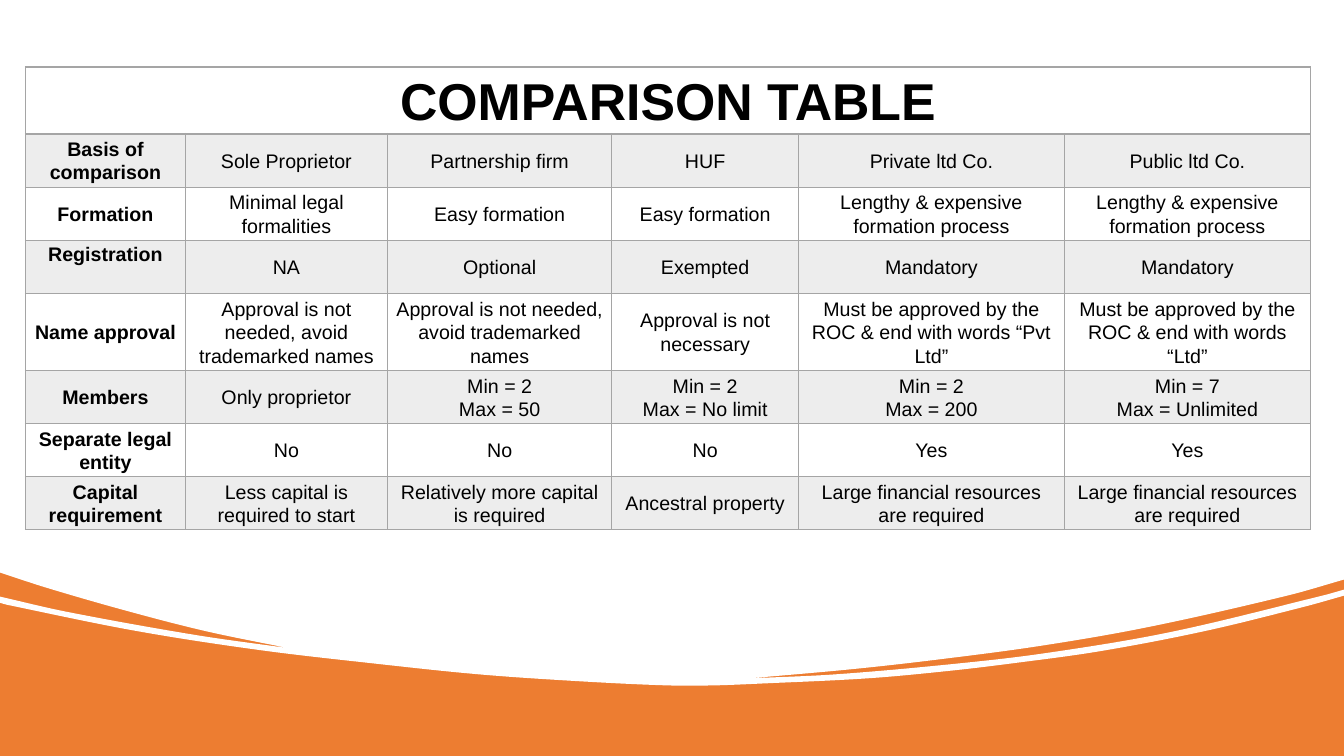
from dataclasses import dataclass
from itertools import product

from lxml.etree import SubElement as Sub
from pptx import Presentation
from pptx.dml.color import RGBColor as Rgb
from pptx.enum.shapes import MSO_SHAPE as Kind
from pptx.enum.text import MSO_ANCHOR as Anchor, PP_ALIGN as Align
from pptx.oxml.ns import qn
from pptx.util import Pt


@dataclass(frozen=True)
class Theme:
    wave: str = "ED7D31"
    paper: str = "FFFFFF"
    ink: str = "000000"
    grid: str = "A5A5A5"
    tint: int = 20  # opacity of shaded rows, percent
    font: str = "Arial"
    title: float = 37
    body: float = 14
    lead: float = 1.07  # line spacing


THEME = Theme()
WIDE, HIGH = 960, 540

# Table content; "\n" starts a new paragraph
TITLE = "COMPARISON TABLE"
ROWS = [
    ["Basis of comparison", "Sole Proprietor", "Partnership firm", "HUF",
     "Private ltd Co.", "Public ltd Co."],
    ["Formation", "Minimal legal formalities", "Easy formation", "Easy formation",
     "Lengthy & expensive formation process", "Lengthy & expensive formation process"],
    ["Registration", "NA", "Optional", "Exempted", "Mandatory", "Mandatory"],
    ["Name approval", "Approval is not needed, avoid trademarked names",
     "Approval is not needed, avoid trademarked names", "Approval is not necessary",
     "Must be approved by the ROC & end with words “Pvt Ltd”",
     "Must be approved by the ROC & end with words “Ltd”"],
    ["Members", "Only proprietor", "Min = 2\nMax = 50", "Min = 2\nMax = No limit",
     "Min = 2\nMax = 200", "Min = 7\nMax = Unlimited"],
    ["Separate legal entity", "No", "No", "No", "Yes", "Yes"],
    ["Capital requirement", "Less capital is required to start",
     "Relatively more capital is required", "Ancestral property",
     "Large financial resources are required", "Large financial resources are required"],
]
COLS = [114.3, 144.3, 160.3, 133.3, 190, 175.7]
TALLS = [48, 37.9, 37.9, 37.9, 55.3, 37.9, 37.9, 37.9]

# Arcs that bound the white area, in order round its edge
ARCS = [
    # right crest, top and bottom edge
    [(960, 414), (919.4, 425.5), (820.8, 447.8), (742.3, 461.5), (666, 471.6),
     (607.7, 478.1), (535, 484.6)],
    [(535, 484.6), (596.9, 481.7), (679, 474.5), (746.6, 466.6), (836.6, 451.4),
     (944.6, 425.5), (960, 421.2)],
    # long wave, right to left
    [(960, 425.5), (931.7, 433.4), (861.1, 450.7), (786.2, 465.1), (723.6, 473.8),
     (675.4, 479.5), (619.2, 484.6), (545.8, 488.2), (509.8, 489.6), (476.6, 489.6),
     (414.7, 486.7), (342, 481.7), (265.7, 473.8), (185.8, 464.4), (97.2, 450.7),
     (5, 432), (0, 430.6)],
    # left crest, bottom and top edge
    [(0, 426.2), (47.5, 437), (139.7, 453.6), (205.9, 463)],
    [(205.9, 463), (145.4, 450.5), (87.8, 435.6), (33.1, 419.8), (0, 409)],
]


def handles(knots):
    """Bezier handles for each step between knots, short near close knots."""
    ends = [knots[0], *knots, knots[-1]]
    for a, b, c, d in zip(ends, ends[1:], ends[2:], ends[3:]):
        span = (c[0] - b[0]) / 3
        rise = (c[1] - a[1]) / (c[0] - a[0])
        fall = (d[1] - b[1]) / (d[0] - b[0])
        yield (b[0] + span, b[1] + span * rise), (c[0] - span, c[1] - span * fall)


def bend(line, pair):
    """Turn a straight step of an outline into a cubic one."""
    line.tag = qn("a:cubicBezTo")
    for n, (x, y) in enumerate(pair):
        dot = Sub(line, qn("a:pt"), x=str(Pt(x)), y=str(Pt(y)))
        line.insert(n, dot)


def paint(shape, color):
    shape.shadow.inherit = False
    shape.fill.solid()
    shape.fill.fore_color.rgb = Rgb.from_string(color)
    shape.line.fill.background()


def add_waves(slide):
    base = slide.shapes.add_shape(Kind.RECTANGLE, 0, 0, Pt(WIDE), Pt(HIGH))
    paint(base, THEME.wave)
    edge = [(WIDE, 0)] + [dot for arc in ARCS for dot in arc]
    pen = slide.shapes.build_freeform(0, 0)
    pen.add_line_segments([(Pt(x), Pt(y)) for x, y in edge], close=True)
    sheet = pen.convert_to_shape()
    paint(sheet, THEME.paper)

    # The step to each arc's first knot stays straight
    steps = iter(list(sheet._element.iter(qn("a:lnTo")))[1:])
    for arc in ARCS:
        next(steps)
        for pair in handles(arc):
            bend(next(steps), pair)


def add_edges(cell, head):
    props = cell._tc.get_or_add_tcPr()
    for side in "LRTB":
        thick = 2 if head and side == "B" else 1
        line = Sub(props, qn(f"a:ln{side}"), w=str(Pt(thick)))
        fill = Sub(line, qn("a:solidFill"))
        Sub(fill, qn("a:srgbClr"), val=THEME.grid)


def shade(cell, on):
    if not on:
        cell.fill.background()
        return
    cell.fill.solid()
    cell.fill.fore_color.rgb = Rgb.from_string(THEME.grid)
    tone = cell._tc.tcPr.find(f"{qn('a:solidFill')}/{qn('a:srgbClr')}")
    Sub(tone, qn("a:alpha"), val=str(THEME.tint * 1000))


def write(cell, text, size, bold):
    cell.margin_left = cell.margin_right = Pt(6.2)
    cell.margin_top = cell.margin_bottom = 0
    cell.vertical_anchor = Anchor.MIDDLE
    cell.text = text
    for para in cell.text_frame.paragraphs:
        para.alignment = Align.CENTER
        para.line_spacing = THEME.lead
        para.font.name = THEME.font
        para.font.size = Pt(size)
        para.font.bold = bold
        para.font.color.rgb = Rgb.from_string(THEME.ink)


def add_grid(slide):
    frame = slide.shapes.add_table(len(TALLS), len(COLS), Pt(18.2), Pt(47.8),
                                   Pt(sum(COLS)), Pt(sum(TALLS)))
    table = frame.table
    table.first_row = table.horz_banding = False
    for col, wide in zip(table.columns, COLS):
        col.width = Pt(wide)
    for row, tall in zip(table.rows, TALLS):
        row.height = Pt(tall)

    # Borders and shading of every cell
    for r, c in product(range(len(TALLS)), range(len(COLS))):
        cell = table.cell(r, c)
        add_edges(cell, r == 0)
        shade(cell, r % 2 == 1)

    # Title row
    head = table.cell(0, 0)
    head.merge(table.cell(0, len(COLS) - 1))
    write(head, TITLE, THEME.title, True)

    # Body rows
    for r, row in enumerate(ROWS, 1):
        for c, text in enumerate(row):
            write(table.cell(r, c), text, THEME.body, c == 0)

    # "Registration" sits at the top of its cell
    label = table.cell(3, 0)
    label.vertical_anchor = Anchor.TOP
    label.margin_top = Pt(1.7)


def main():
    deck = Presentation()
    deck.slide_width, deck.slide_height = Pt(WIDE), Pt(HIGH)
    slide = deck.slides.add_slide(deck.slide_layouts[6])
    add_waves(slide)
    add_grid(slide)
    deck.save("out.pptx")


if __name__ == "__main__":
    main()
